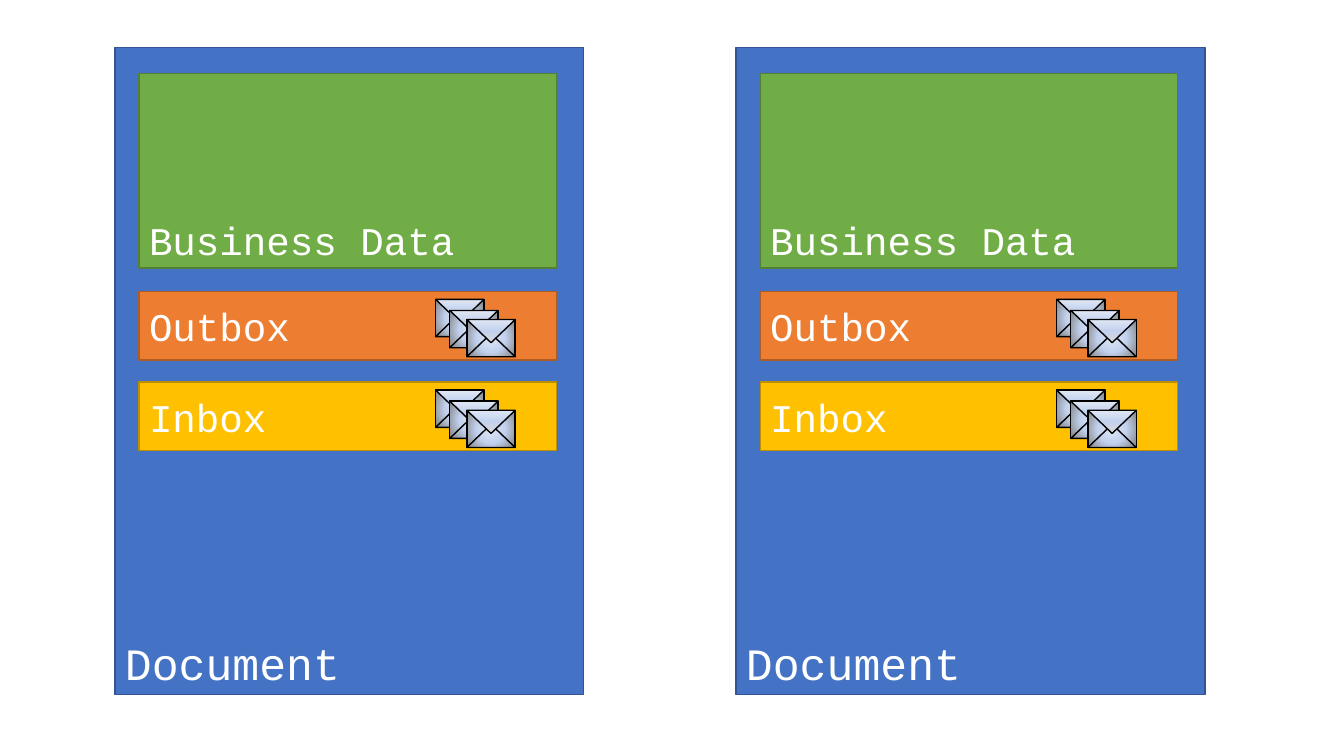
from dataclasses import dataclass

from lxml.etree import SubElement
from pptx import Presentation
from pptx.dml.color import RGBColor
from pptx.enum.shapes import MSO_SHAPE
from pptx.enum.text import MSO_ANCHOR, PP_ALIGN
from pptx.oxml.ns import qn
from pptx.shapes.autoshape import Shape
from pptx.shapes.shapetree import GroupShapes, SlideShapes
from pptx.util import Inches, Pt

WHITE = RGBColor(0xFF, 0xFF, 0xFF)
BLACK = RGBColor(0x00, 0x00, 0x00)
BLUE = RGBColor(0x44, 0x72, 0xC4)
NAVY = RGBColor(0x32, 0x54, 0x91)
GREEN = RGBColor(0x70, 0xAD, 0x47)
MOSS = RGBColor(0x53, 0x80, 0x35)
ORANGE = RGBColor(0xED, 0x7D, 0x31)
RUST = RGBColor(0xAF, 0x5C, 0x24)
GOLD = RGBColor(0xFF, 0xC0, 0x00)
OCHRE = RGBColor(0xBD, 0x8E, 0x00)
PALE = RGBColor(0xE1, 0xE8, 0xF5)
SKY = RGBColor(0xC2, 0xD1, 0xED)
GRAY = RGBColor(0x80, 0x80, 0x80)
SILVER = RGBColor(0xD9, 0xD9, 0xD9)


@dataclass(frozen=True)
class Box:
    """A labelled panel; left is measured from the document's left edge."""
    text: str
    left: float
    top: float
    width: float
    height: float
    fill: RGBColor
    line: RGBColor
    size: int = 28
    anchor: MSO_ANCHOR = MSO_ANCHOR.MIDDLE
    mail: bool = False


BOXES = [
    Box("Document", 0, 0.47, 4.65, 6.42, BLUE, NAVY, 32, MSO_ANCHOR.BOTTOM),
    Box("Business Data", 0.24, 0.73, 4.14, 1.93, GREEN, MOSS,
        anchor=MSO_ANCHOR.BOTTOM),
    Box("Outbox", 0.24, 2.89, 4.14, 0.68, ORANGE, RUST, mail=True),
    Box("Inbox", 0.24, 3.79, 4.14, 0.68, GOLD, OCHRE, mail=True),
]
DOCS = [1.14, 7.3]
STACK = [(0, 0), (0.14, 0.11), (0.31, 0.2)]
MAIL_X, MAIL_Y = 2.94, 0.08
MAIL_W, MAIL_H, FLAP_H = 0.48, 0.37, 0.23


def add_part(shapes: SlideShapes | GroupShapes, kind: MSO_SHAPE, left: float,
             top: float, width: float, height: float, line: RGBColor) -> Shape:
    """Add an unfilled shape with a thin outline and no shadow."""
    part = shapes.add_shape(kind, Inches(left), Inches(top),
                            Inches(width), Inches(height))
    part.shadow.inherit = False
    part.fill.background()
    part.line.color.rgb = line
    part.line.width = Pt(1)
    return part


def shade(part: Shape, last: RGBColor, round: bool) -> None:
    """Fill with a gradient, from the centre outwards or upwards."""
    props = part._element.spPr
    blank = props.find(qn("a:noFill"))
    grad = SubElement(props, qn("a:gradFill"), rotWithShape="1")
    props.replace(blank, grad)
    stops = SubElement(grad, qn("a:gsLst"))
    for pos, color in ((0, PALE), (48, SKY), (100, last)):
        stop = SubElement(stops, qn("a:gs"), pos=str(pos * 1000))
        SubElement(stop, qn("a:srgbClr"), val=str(color))
    if round:
        way = SubElement(grad, qn("a:path"), {"path": "circle"})
        SubElement(way, qn("a:fillToRect"),
                   {side: "50000" for side in "ltrb"})
    else:
        SubElement(grad, qn("a:lin"), ang=str(270 * 60000), scaled="1")


def add_mail(shapes: GroupShapes, left: float, top: float) -> None:
    body = add_part(shapes, MSO_SHAPE.RECTANGLE, left, top,
                    MAIL_W, MAIL_H, BLACK)
    shade(body, GRAY, True)
    add_part(shapes, MSO_SHAPE.ISOSCELES_TRIANGLE, left,
             top + MAIL_H - FLAP_H, MAIL_W, FLAP_H, BLACK)
    flap = add_part(shapes, MSO_SHAPE.ISOSCELES_TRIANGLE, left, top,
                    MAIL_W, FLAP_H, BLACK)
    flap.rotation = 180
    shade(flap, SILVER, False)


def add_box(shapes: SlideShapes, box: Box, left: float) -> None:
    part = add_part(shapes, MSO_SHAPE.RECTANGLE, left + box.left, box.top,
                    box.width, box.height, box.line)
    part.fill.solid()
    part.fill.fore_color.rgb = box.fill
    frame = part.text_frame
    frame.word_wrap = True
    frame.vertical_anchor = box.anchor
    para = frame.paragraphs[0]
    para.alignment = PP_ALIGN.LEFT
    run = para.add_run()
    run.text = box.text
    run.font.name = "Courier New"
    run.font.size = Pt(box.size)
    run.font.color.rgb = WHITE


def main() -> None:
    deck = Presentation()
    deck.slide_width = Inches(13.33)
    deck.slide_height = Inches(7.5)
    shapes = deck.slides.add_slide(deck.slide_layouts[6]).shapes
    for left in DOCS:
        for box in BOXES:
            add_box(shapes, box, left)
            if box.mail:
                group = shapes.add_group_shape()
                for dx, dy in STACK:
                    add_mail(group.shapes, left + box.left + MAIL_X + dx,
                             box.top + MAIL_Y + dy)
    deck.save("out.pptx")


if __name__ == "__main__":
    main()
